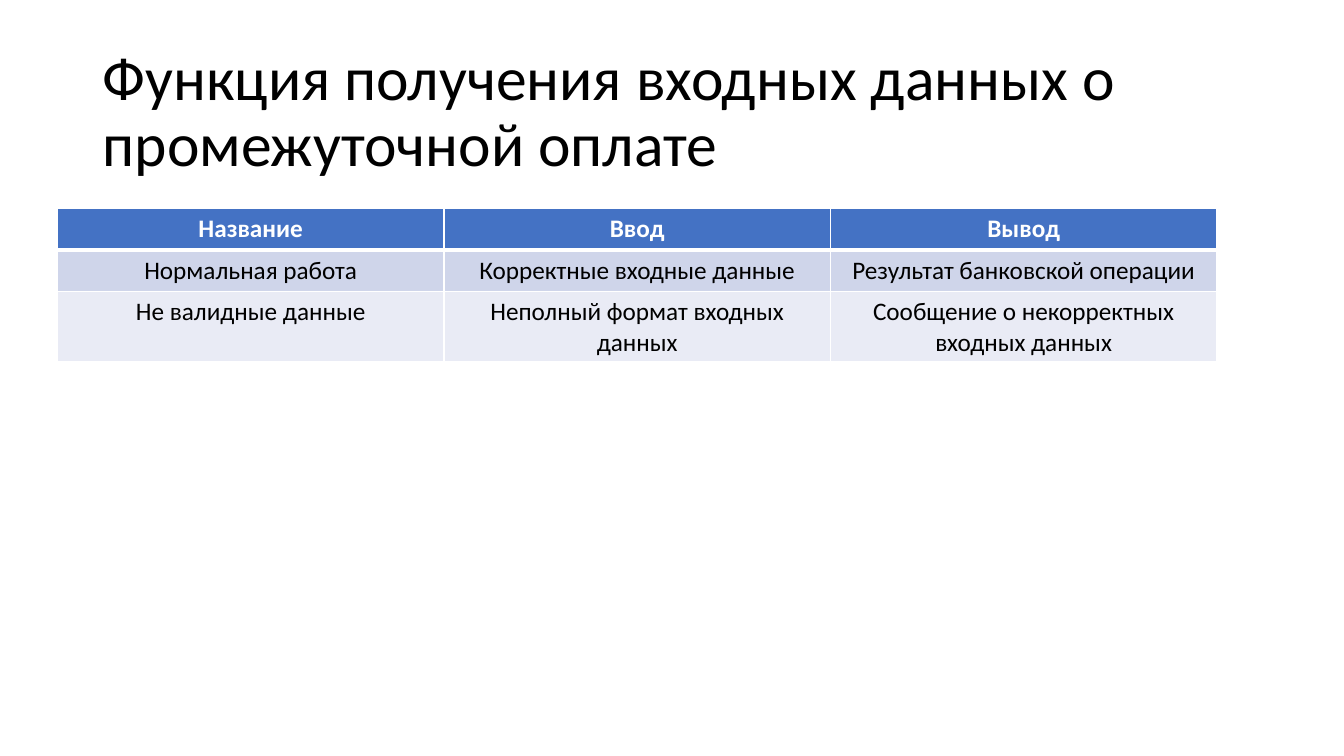
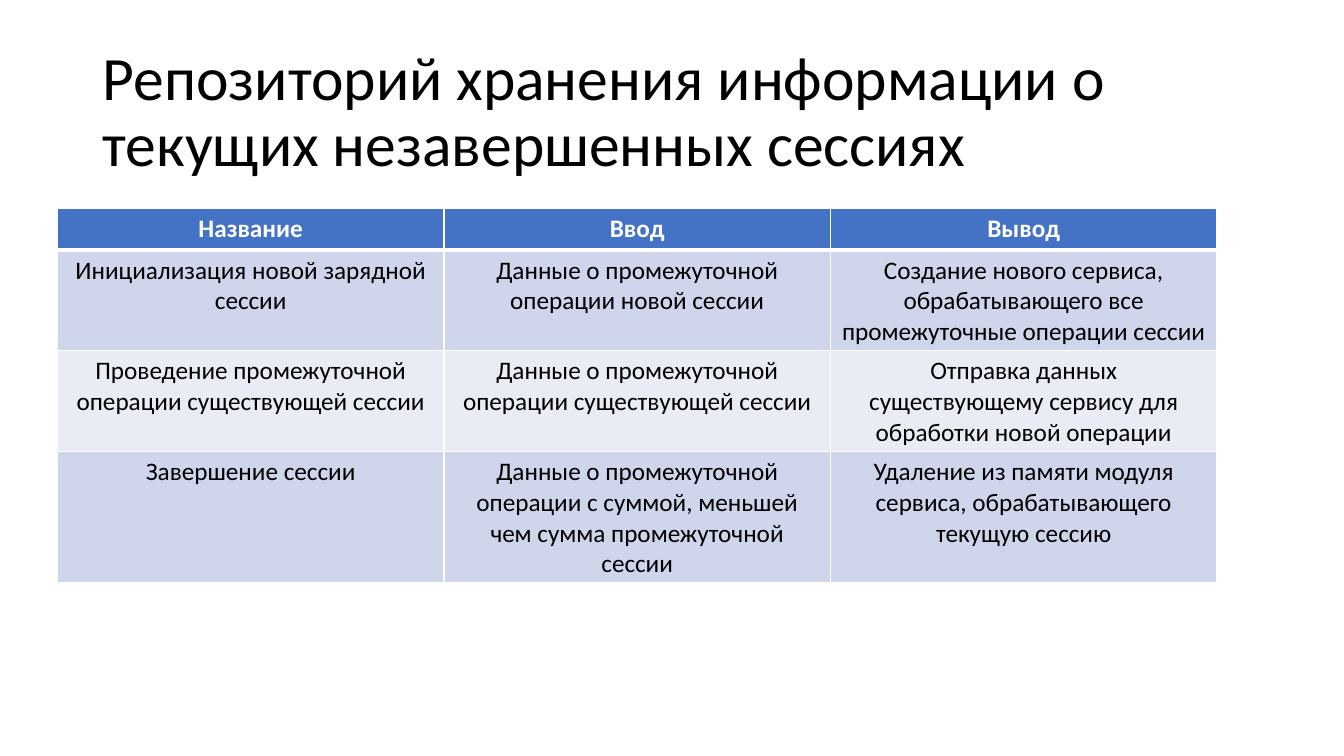
"""Build two slides, each with a title and a table of test cases."""
import dataclasses

import lxml.etree
import pptx
import pptx.dml.color
import pptx.enum.text
import pptx.oxml.ns
import pptx.presentation
import pptx.slide
import pptx.table
import pptx.text.text
import pptx.util

Inches = pptx.util.Inches
RGBColor = pptx.dml.color.RGBColor
Align = pptx.enum.text.PP_ALIGN

WHITE = RGBColor(0xFF, 0xFF, 0xFF)
BLACK = RGBColor(0x00, 0x00, 0x00)
HEADER_BLUE = RGBColor(0x44, 0x72, 0xC4)
BODY_BANDS = (RGBColor(0xCF, 0xD5, 0xEA), RGBColor(0xE9, 0xEB, 0xF5))
FONT = "Calibri"
COLUMNS = ("Название", "Ввод", "Вывод")
TABLE_WIDTH = Inches(11.5)
ROW_HEIGHT = Inches(0.41)
THIN, THICK = 1, 3


@dataclasses.dataclass(frozen=True)
class TestCase:
    """One checked scenario with its input and output."""

    name: str
    given: str
    result: str


@dataclasses.dataclass(frozen=True)
class Topic:
    """The content of one slide."""

    title: str
    cases: tuple[TestCase, ...]


TOPICS = (
    Topic(
        "Функция получения входных данных о промежуточной оплате",
        (
            TestCase("Нормальная работа", "Корректные входные данные",
                     "Результат банковской операции"),
            TestCase("Не валидные данные", "Неполный формат входных данных",
                     "Сообщение о некорректных входных данных"),
        ),
    ),
    Topic(
        "Репозиторий хранения информации о текущих незавершенных сессиях",
        (
            TestCase("Инициализация новой зарядной сессии",
                     "Данные о промежуточной операции новой сессии",
                     "Создание нового сервиса, обрабатывающего все "
                     "промежуточные операции сессии"),
            TestCase("Проведение промежуточной операции существующей сессии",
                     "Данные о промежуточной операции существующей сессии",
                     "Отправка данных существующему сервису для обработки "
                     "новой операции"),
            TestCase("Завершение сессии",
                     "Данные о промежуточной операции с суммой, меньшей чем "
                     "сумма промежуточной сессии",
                     "Удаление из памяти модуля сервиса, обрабатывающего "
                     "текущую сессию"),
        ),
    ),
)


def write_text(frame: pptx.text.text.TextFrame, text: str, *, size: float,
               color: RGBColor = BLACK, bold: bool = False,
               align: Align = Align.LEFT, line_spacing: float = 1.0) -> None:
    """Write one formatted paragraph into a text frame."""
    frame.word_wrap = True
    paragraph = frame.paragraphs[0]
    paragraph.alignment = align
    paragraph.line_spacing = line_spacing
    run = paragraph.add_run()
    run.text = text
    run.font.name = FONT
    run.font.size = pptx.util.Pt(size)
    run.font.bold = bold
    run.font.color.rgb = color


def draw_borders(cell: pptx.table._Cell, top: float, bottom: float) -> None:
    """Draw white borders around a cell, with widths in points."""
    properties = cell._tc.get_or_add_tcPr()
    qn = pptx.oxml.ns.qn
    widths = {"a:lnL": THIN, "a:lnR": THIN, "a:lnT": top, "a:lnB": bottom}
    for position, (side, width) in enumerate(widths.items()):
        line = lxml.etree.Element(qn(side), w=str(pptx.util.Pt(width)))
        fill = lxml.etree.SubElement(line, qn("a:solidFill"))
        lxml.etree.SubElement(fill, qn("a:srgbClr"), val=str(WHITE))
        properties.insert(position, line)


def add_title(slide: pptx.slide.Slide, title: str) -> None:
    """Add the slide title."""
    box = slide.shapes.add_textbox(Inches(0.92), Inches(0.4), Inches(11.5), Inches(1.45))
    box.text_frame.vertical_anchor = pptx.enum.text.MSO_ANCHOR.MIDDLE
    write_text(box.text_frame, title, size=44, line_spacing=0.9)


def add_case_table(slide: pptx.slide.Slide, cases: tuple[TestCase, ...]) -> None:
    """Add the table of test cases under its header row."""
    rows = (COLUMNS, *map(dataclasses.astuple, cases))
    table = slide.shapes.add_table(len(rows), len(COLUMNS), Inches(0.57), Inches(2.07),
                                   TABLE_WIDTH, ROW_HEIGHT * len(rows)).table
    for row_index, texts in enumerate(rows):
        is_header = row_index == 0
        band = HEADER_BLUE if is_header else BODY_BANDS[(row_index - 1) % 2]
        for column_index, text in enumerate(texts):
            cell = table.cell(row_index, column_index)
            cell.fill.solid()
            cell.fill.fore_color.rgb = band
            draw_borders(cell, top=THICK if row_index == 1 else THIN,
                         bottom=THICK if is_header else THIN)
            write_text(cell.text_frame, text, size=18, bold=is_header,
                       color=WHITE if is_header else BLACK, align=Align.CENTER)


def add_topic(deck: pptx.presentation.Presentation, topic: Topic) -> None:
    """Add one topic as a slide."""
    slide = deck.slides.add_slide(deck.slide_layouts[6])
    add_title(slide, topic.title)
    add_case_table(slide, topic.cases)


def main() -> None:
    """Build and save the deck."""
    deck = pptx.Presentation()
    deck.slide_width = Inches(13.33)
    deck.slide_height = Inches(7.5)
    for topic in TOPICS:
        add_topic(deck, topic)
    deck.save("out.pptx")


main()
